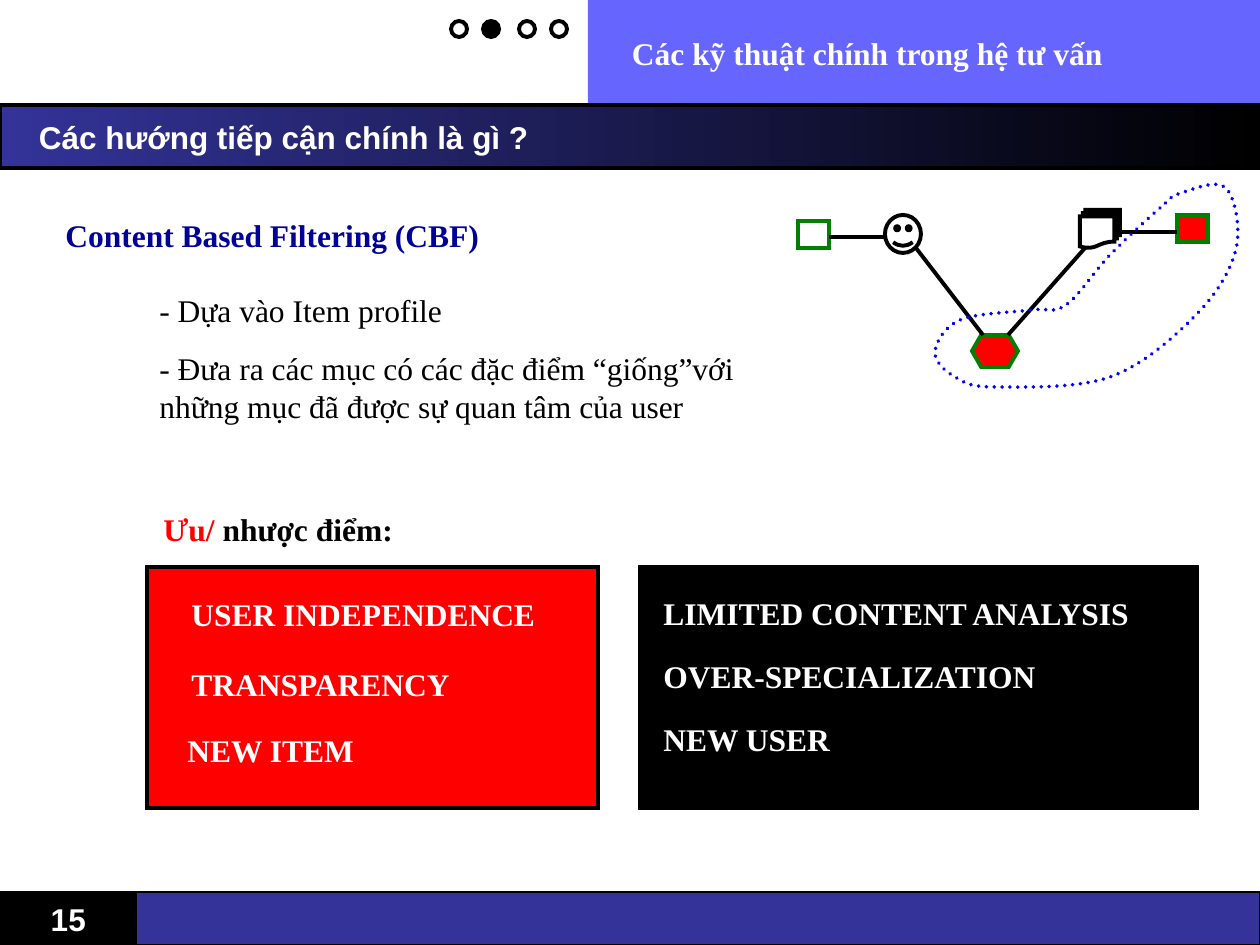
import dataclasses
import typing

import lxml.etree
import pptx
import pptx.dml.color
import pptx.enum.dml
import pptx.enum.shapes
import pptx.enum.text
import pptx.oxml.ns
import pptx.util

Preset = pptx.enum.shapes.MSO_SHAPE
Align = pptx.enum.text.PP_ALIGN
Anchor = pptx.enum.text.MSO_ANCHOR
Point = tuple[float, float]
EMU_PER_PX = 914400 / 126


@dataclasses.dataclass(frozen=True)
class Theme:
    black: str = "000000"
    white: str = "FFFFFF"
    red: str = "FF0000"
    green: str = "008000"
    blue: str = "0000FF"
    navy: str = "000099"
    indigo: str = "333399"
    periwinkle: str = "6666FF"
    serif: str = "Times New Roman"
    sans: str = "Arial"
    size: float = 18
    thick: float = 2.25
    thin: float = 0.75


THEME = Theme()


class Box(typing.NamedTuple):
    left: int
    top: int
    width: int
    height: int


class Run(typing.NamedTuple):
    text: str
    color: str = THEME.white
    bold: bool = True
    font: str = THEME.serif


class Block(typing.NamedTuple):
    box: Box
    fill: str | None = None
    line: str | None = THEME.black
    preset: Preset = Preset.RECTANGLE
    weight: float = THEME.thick


class Label(typing.NamedTuple):
    box: Box
    runs: tuple[Run, ...]
    wrap: bool = False


def px(value: float) -> int:
    return round(value * EMU_PER_PX)


def rgb(color: str) -> pptx.dml.color.RGBColor:
    return pptx.dml.color.RGBColor.from_string(color)


def add_element(parent, tag: str, **attributes: str):
    return lxml.etree.SubElement(parent, pptx.oxml.ns.qn(tag), **attributes)


def line_element(shape):
    return shape.element.find(".//" + pptx.oxml.ns.qn("a:ln"))


def set_line(shape, color: str | None, weight: float = THEME.thick) -> None:
    if color is None:
        shape.line.fill.background()
        return
    shape.line.color.rgb = rgb(color)
    shape.line.width = pptx.util.Pt(weight)


def draw_block(shapes, block: Block):
    shape = shapes.add_shape(block.preset, *map(px, block.box))
    shape.shadow.inherit = False
    if block.fill is None:
        shape.fill.background()
    else:
        shape.fill.solid()
        shape.fill.fore_color.rgb = rgb(block.fill)
    set_line(shape, block.line, block.weight)
    add_element(line_element(shape), "a:miter", lim="800000")
    return shape


def write(shape, runs: tuple[Run, ...], align: Align = Align.LEFT) -> None:
    paragraph = shape.text_frame.paragraphs[0]
    paragraph.alignment = align
    for item in runs:
        run = paragraph.add_run()
        run.text = item.text
        run.font.name = item.font
        run.font.size = pptx.util.Pt(THEME.size)
        run.font.bold = item.bold
        run.font.color.rgb = rgb(item.color)


def draw_banner(shapes, block: Block, run: Run, indent: int = 13, align: Align = Align.LEFT):
    shape = draw_block(shapes, block)
    shape.text_frame.vertical_anchor = Anchor.MIDDLE
    shape.text_frame.margin_left = px(indent)
    write(shape, (run,), align)
    return shape


def draw_label(shapes, label: Label) -> None:
    shape = shapes.add_textbox(*map(px, label.box))
    shape.text_frame.word_wrap = label.wrap
    shape.text_frame.auto_size = pptx.enum.text.MSO_AUTO_SIZE.SHAPE_TO_FIT_TEXT
    write(shape, label.runs)


def draw_link(shapes, start: Point, end: Point) -> None:
    connector = shapes.add_connector(
        pptx.enum.shapes.MSO_CONNECTOR.STRAIGHT, *map(px, (*start, *end)))
    set_line(connector, THEME.black)
    add_element(connector.element.find(pptx.oxml.ns.qn("p:spPr")), "a:effectLst")


def curve_controls(knots: list[Point], index: int) -> list[Point]:
    before, start, end, after = (knots[(index + shift) % len(knots)] for shift in (-1, 0, 1, 2))
    leaving = tuple(s + (e - b) / 6 for b, s, e in zip(before, start, end))
    arriving = tuple(e - (a - s) / 6 for s, e, a in zip(start, end, after))
    return [leaving, arriving, end]


def draw_loop(shapes, knots: list[Point], box: Box) -> None:
    builder = shapes.build_freeform(box.left, box.top, scale=EMU_PER_PX)
    builder.add_line_segments([(box.left + box.width, box.top + box.height)], close=True)
    shape = builder.convert_to_shape()
    outline = shape.element.find(".//" + pptx.oxml.ns.qn("a:pathLst"))[0]
    for child in list(outline):
        outline.remove(child)

    def add_points(tag: str, points: list[Point]) -> None:
        command = add_element(outline, tag)
        for x, y in points:
            add_element(command, "a:pt", x=str(px(x - box.left)), y=str(px(y - box.top)))

    outline.set("w", str(px(box.width)))
    outline.set("h", str(px(box.height)))
    add_points("a:moveTo", knots[:1])
    for index in range(len(knots)):
        add_points("a:cubicBezTo", curve_controls(knots, index))
    add_element(outline, "a:close")
    shape.shadow.inherit = False
    shape.fill.background()
    set_line(shape, THEME.blue)
    shape.line.dash_style = pptx.enum.dml.MSO_LINE.ROUND_DOT
    line_element(shape).set("cap", "rnd")


CARDS = [Block(Box(640, 567, 557, 241), THEME.black), Block(Box(147, 567, 451, 241), THEME.red)]
DOTS = {451: None, 483: THEME.black, 519: None, 551: None}
NODES = [
    Block(Box(885, 215, 36, 38), preset=Preset.SMILEY_FACE),
    Block(Box(1080, 210, 40, 38), preset=Preset.FLOWCHART_MULTIDOCUMENT),
    Block(Box(798, 221, 31, 27), line=THEME.green),
    Block(Box(1177, 215, 31, 27), THEME.red, THEME.green),
    Block(Box(972, 335, 46, 32), THEME.red, THEME.green, Preset.FLOWCHART_PREPARATION),
]
LINKS = [((885, 237), (829, 237)), ((1177, 232), (1120, 232)),
         ((916, 248), (983, 335)), ((1085, 248), (1008, 335))]
LOOP = [(1160, 208), (1110, 255), (1066, 305), (1031, 310), (960, 320), (935, 352), (955, 377),
        (995, 387), (1110, 377), (1196, 315), (1236, 249), (1226, 188), (1181, 193)]
LABELS = [
    Label(Box(53, 210, 446, 50), (Run("Content Based Filtering (CBF)", THEME.navy),)),
    Label(Box(151, 504, 256, 50), (Run("Ưu/ ", THEME.red), Run("nhược điểm:", THEME.black))),
    Label(Box(147, 285, 312, 50), (Run("- Dựa vào Item profile", THEME.black, False),)),
    Label(Box(147, 343, 662, 88), (Run(
        "- Đưa ra các mục có các đặc điểm “giống”với những mục đã được sự quan tâm của user",
        THEME.black, False),), True),
    Label(Box(179, 589, 377, 50), (Run("USER INDEPENDENCE"),)),
    Label(Box(179, 659, 294, 50), (Run("TRANSPARENCY"),)),
    Label(Box(175, 725, 192, 50), (Run("NEW ITEM"),)),
    Label(Box(651, 588, 504, 50), (Run("LIMITED CONTENT ANALYSIS"),)),
    Label(Box(651, 651, 407, 50), (Run("OVER-SPECIALIZATION"),)),
    Label(Box(651, 714, 200, 50), (Run("NEW USER"),)),
]


def main() -> None:
    presentation = pptx.Presentation()
    presentation.slide_width, presentation.slide_height = px(1260), px(945)
    shapes = presentation.slides.add_slide(presentation.slide_layouts[6]).shapes
    for card in CARDS:
        draw_block(shapes, card)
    draw_banner(shapes, Block(Box(588, 0, 672, 105), THEME.periwinkle, None),
                Run("Các kỹ thuật chính trong hệ tư vấn"), 44)
    draw_banner(shapes, Block(Box(0, 892, 136, 53), THEME.black, weight=THEME.thin),
                Run("15", font=THEME.sans), align=Align.CENTER)
    for left, fill in DOTS.items():
        draw_block(shapes, Block(Box(left, 21, 16, 16), fill, preset=Preset.OVAL))
    title = draw_banner(shapes, Block(Box(0, 105, 1260, 63)),
                        Run("Các hướng tiếp cận chính là gì ?", font=THEME.sans), 39)
    title.fill.gradient()
    title.fill.gradient_angle = 0
    for stop, color in zip(title.fill.gradient_stops, (THEME.indigo, THEME.black)):
        stop.color.rgb = rgb(color)
    diagram = shapes.add_group_shape().shapes
    for node in NODES:
        draw_block(diagram, node)
    for start, end in LINKS:
        draw_link(diagram, start, end)
    draw_block(shapes, Block(Box(136, 892, 1124, 53), THEME.indigo, weight=THEME.thin))
    for label in LABELS:
        draw_label(shapes, label)
    draw_loop(shapes, LOOP, Box(935, 179, 306, 210))
    presentation.save("out.pptx")


if __name__ == "__main__":
    main()
